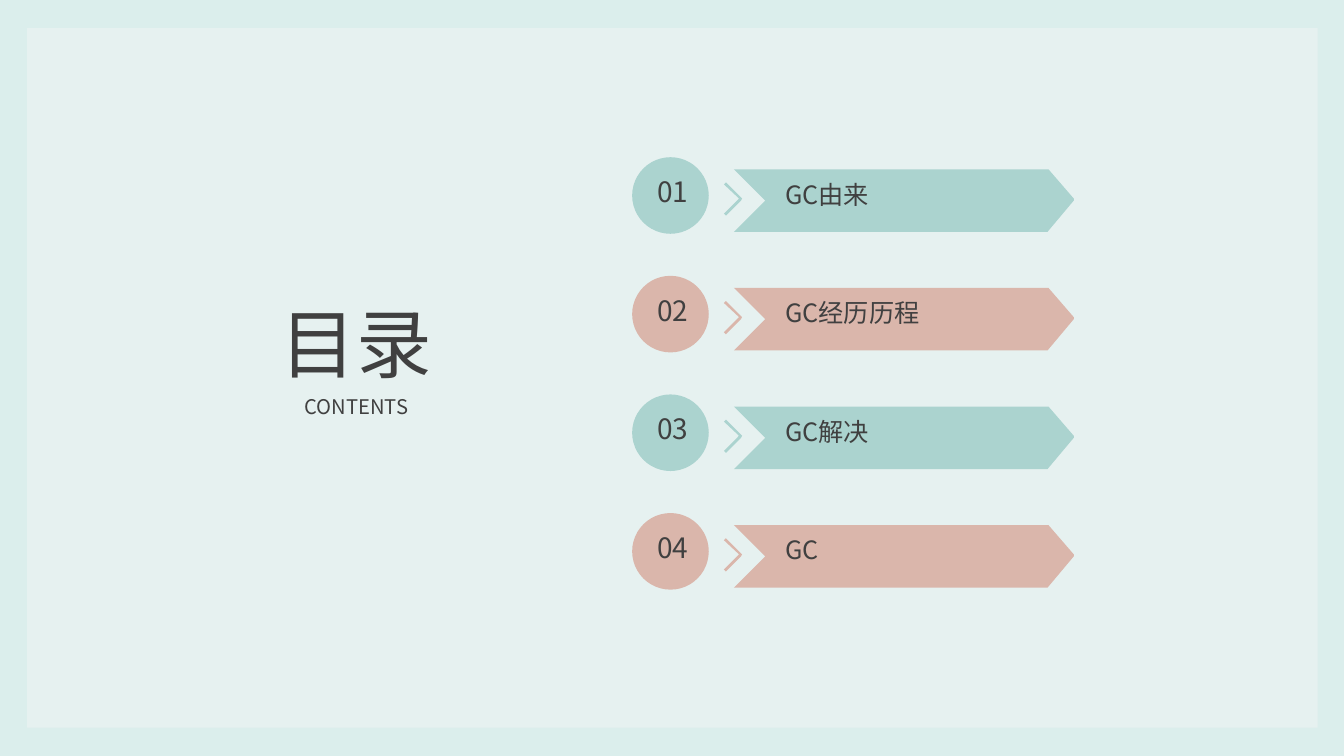
from lxml.etree import SubElement
from pptx import Presentation
from pptx.dml.color import RGBColor
from pptx.enum.shapes import MSO_SHAPE
from pptx.enum.text import MSO_ANCHOR, MSO_AUTO_SIZE, PP_ALIGN
from pptx.oxml.ns import qn
from pptx.util import Inches, Pt

ENTRIES = [("01", "GC由来"), ("02", "GC经历历程"), ("03", "GC解决"), ("04", "GC")]
TITLE = "目录"
SUBTITLE = "CONTENTS"

MINT = RGBColor(0xDB, 0xEE, 0xEC)
PANEL = RGBColor(0xE6, 0xF1, 0xF0)
TEAL = RGBColor(0xAB, 0xD3, 0xCF)
ROSE = RGBColor(0xDA, 0xB6, 0xAB)
INK = RGBColor(0x40, 0x40, 0x40)
FONT = "Noto Sans CJK SC"

FIRST_TOP, LAST_TOP = 1.56, 5.09
CIRCLE_LEFT, CIRCLE_SIZE = 6.27, 0.76
CHEVRON = [(7.2, 0.58), (7.18, 0.56), (7.33, 0.41), (7.18, 0.27),
           (7.2, 0.25), (7.36, 0.41), (7.35, 0.43)]
BANNER = [(7.28, 0.12), (10.4, 0.12), (10.65, 0.41), (10.65, 0.43),
          (10.39, 0.74), (7.28, 0.74), (7.59, 0.43)]


def paint(shape, color):
    shape.shadow.inherit = False
    shape.fill.solid()
    shape.fill.fore_color.rgb = color
    shape.line.fill.background()


def add_preset(slide, kind, left, top, width, height, color):
    shape = slide.shapes.add_shape(
        kind, Inches(left), Inches(top), Inches(width), Inches(height))
    paint(shape, color)


def add_outline(slide, points, top, color):
    corners = [(Inches(x), Inches(top + y)) for x, y in points]
    builder = slide.shapes.build_freeform(*corners[0])
    builder.add_line_segments(corners[1:], close=True)
    paint(builder.convert_to_shape(), color)


def write(shape, text, size, alignment):
    frame = shape.text_frame
    frame.word_wrap = True
    frame.auto_size = MSO_AUTO_SIZE.NONE
    frame.vertical_anchor = MSO_ANCHOR.TOP
    paragraph = frame.paragraphs[0]
    paragraph.alignment = alignment
    paragraph.line_spacing = 0.9
    run = paragraph.add_run()
    run.text = text
    run.font.size = Pt(size)
    run.font.color.rgb = INK
    run.font.name = FONT
    SubElement(run.font._element, qn("a:ea"), typeface=FONT)


def add_label(slide, left, top, width, height, text, size, alignment):
    box = slide.shapes.add_textbox(
        Inches(left), Inches(top), Inches(width), Inches(height))
    write(box, text, size, alignment)


def main():
    presentation = Presentation()
    presentation.slide_width = Inches(13.33)
    presentation.slide_height = Inches(7.5)
    slide = presentation.slides.add_slide(presentation.slide_layouts[5])
    slide.background.fill.solid()
    slide.background.fill.fore_color.rgb = MINT

    add_preset(slide, MSO_SHAPE.RECTANGLE, 0.27, 0.28, 12.8, 6.94, PANEL)

    step = (LAST_TOP - FIRST_TOP) / (len(ENTRIES) - 1)
    for index, (number, topic) in enumerate(ENTRIES):
        top = FIRST_TOP + index * step
        color = (TEAL, ROSE)[index % 2]
        add_preset(slide, MSO_SHAPE.OVAL, CIRCLE_LEFT, top,
                   CIRCLE_SIZE, CIRCLE_SIZE, color)
        add_outline(slide, CHEVRON, top, color)
        add_outline(slide, BANNER, top, color)
        add_label(slide, 7.69, top + 0.2, 2.6, 0.44, topic, 18, PP_ALIGN.LEFT)
        add_label(slide, 6.34, top + 0.16, 0.67, 0.44, number, 20, PP_ALIGN.CENTER)

    add_label(slide, 2.51, 3.89, 2.05, 0.37, SUBTITLE, 14.4, PP_ALIGN.CENTER)

    title = slide.shapes.title
    title.left, title.top = Inches(2.51), Inches(3)
    title.width, title.height = Inches(2.05), Inches(1.01)
    write(title, TITLE, 54, PP_ALIGN.CENTER)
    slide.shapes._spTree.append(title._element)

    presentation.save("out.pptx")


if __name__ == "__main__":
    main()
